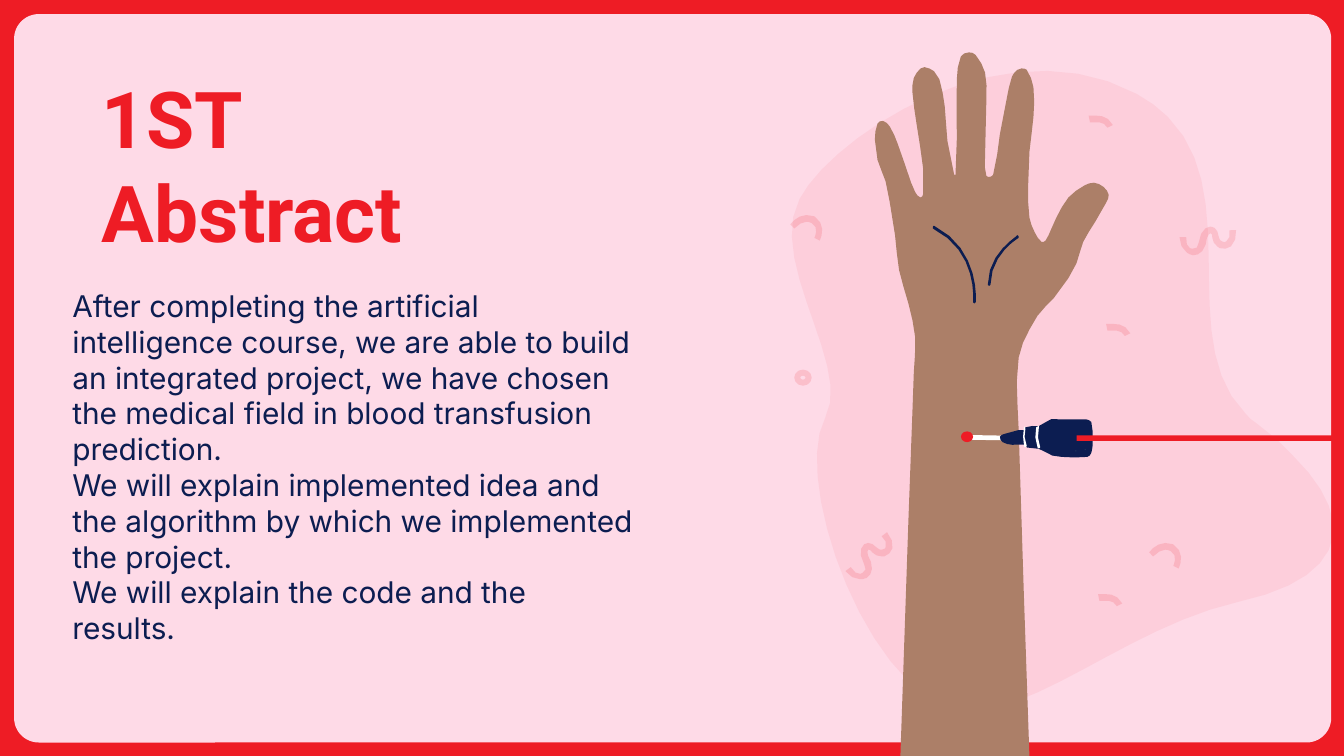
from dataclasses import dataclass
from math import ceil, sqrt
from typing import NamedTuple

from lxml.etree import SubElement
from pptx import Presentation
from pptx.dml.color import RGBColor
from pptx.enum.shapes import MSO_SHAPE as Preset
from pptx.enum.text import MSO_ANCHOR as Anchor
from pptx.oxml.ns import qn
from pptx.util import Inches, Pt

# Grid: 1000 columns across the slide, square cells
COLUMNS, ROWS = 1000, 562.5
CELL = Inches(10) / COLUMNS
TOLERANCE = 0.6  # cells between a curve and its chords


@dataclass(frozen=True)
class Theme:
    red: str = "EE1C25"
    pink: str = "FEDAE7"
    skin: str = "AC7F68"
    navy: str = "0C1D51"
    speck: str = "1B3058"
    white: str = "FFFFFF"
    title_size: int = 42
    body_size: int = 16
    title_font: str = "Roboto"
    body_font: str = "Inter"
    blob_alpha: int = 6
    confetti_alpha: int = 14


THEME = Theme()


class Area(NamedTuple):
    column: float
    row: float
    columns: float
    rows: float


class Part(NamedTuple):
    preset: Preset
    area: Area
    color: str
    rotation: float = 0


class Confetti(NamedTuple):
    curve: str
    column: float
    row: float
    rotation: float = 0


# Chains of cubic curves: a start, then two handles and an end for each curve
BLOB = """869,87 862,80 855,75 846,70 747,16 619,102 595,148 570,195 635,273 614,311
    594,347 625,457 676,507 679,511 683,514 687,517 743,561 824,470 921,448
    1004,430 1010,386 962,339 955,331 946,323 935,315 932,313 929,311 927,308
    873,254 927,145 869,87"""
PALM_LINES = (
    """757,175 757,176 735,188 735,212 735,213 737,213 737,212 737,189 758,177 758,177
    758,176 758,175 757,175""",
    """695,168 695,168 694,168 694,169 694,169 694,170 694,170 728,187 724,224 724,225
    724,226 726,226 726,225 726,225 730,186 695,168""",
)
PEN_BANDS = (
    """762,317 761,322 761,328 762,332 762,333 763,333 764,332 762,327 762,323 763,319
    763,318 762,318 762,317""",
    """773,317 772,317 771,318 771,318 770,323 770,328 772,333 772,334 774,334 774,333
    772,328 772,323 773,318 773,318 773,317 773,317""",
)
HOOK = """12,0 7,0 2,4 0,7 0,7 3,10 3,10 4,10 7,5 12,5 13,5 14,5 16,6 22,9 18,17 18,17
    18,17 22,19 22,19 24,15 26,6 18,1 16,1 14,0 12,0"""
DASH = """5,0 3,0 2,0 0,0 0,0 1,5 1,5 2,5 3,5 5,5 8,5 12,5 14,9 14,9 18,7 18,7
    15,1 10,0 5,0"""
SQUIGGLE = """31,0 31,0 27,3 27,3 30,6 31,8 30,11 30,12 29,13 27,13 26,13 25,13 24,12
    21,9 19,8 17,8 16,8 15,9 14,9 11,11 10,17 14,24 16,27 15,29 13,30 13,30 12,31 11,31
    9,31 6,30 4,26 4,26 0,29 0,29 3,33 7,35 11,35 12,35 14,35 16,34 19,32 21,28 19,22
    16,17 16,14 17,13 18,13 19,13 20,15 22,17 24,18 27,18 28,18 28,18 29,18
    32,17 34,15 35,12 36,8 34,4 31,0"""

# Outlines given by the points they run smoothly through
HAND = """670,563 676,386 679,305 680,277 681,251 676,226 669,201 666,175 662,150
    659,135 653,119 651,104 653,92 657,90 662,94 668,107 678,136 681,143 685,147
    687,144 687,126 682,92 679,69 680,58 685,51 688,50 695,53 699,59 703,79 705,105
    710,130 711,130 712,103 712,59 715,42 721,39 726,41 733,54 734,73 733,117
    734,131 739,130 744,100 749,74 753,57 757,52 760,51 764,52 769,65 769,87
    766,113 765,140 766,162 770,173 775,180 778,179 782,171 786,162 795,147 807,138
    814,136 821,139 825,145 823,151 815,165 806,180 801,196 795,207 784,222 772,235
    758,266 758,320 766,563"""
PEN = """787,312 782,312 773,317 768,317 763,318 762,320 758,320 747,323 744,325 746,329
    753,331 763,331 764,333 773,334 783,339 790,340 809,340 812,337
    813,329 812,314 808,312"""

STICK = Part(Preset.ROUNDED_RECTANGLE, Area(718, 324, 39, 3.5), THEME.white, 1)
PEN_DETAILS = (
    Part(Preset.OVAL, Area(807, 334, 1, 1), THEME.speck),
    Part(Preset.OVAL, Area(800, 335, 1, 1), THEME.speck),
    Part(Preset.OVAL, Area(715, 321, 9, 8), THEME.red),
    Part(Preset.RECTANGLE, Area(801, 324, 232, 4), THEME.red),
)
CONFETTI = (
    Confetti(HOOK, 855, 404), Confetti(DASH, 810, 86), Confetti(DASH, 823, 241),
    Confetti(SQUIGGLE, 629, 396), Confetti(HOOK, 588, 160), Confetti(DASH, 817, 442),
    Confetti(SQUIGGLE, 881, 160, 36),
)
TITLE = "1ST \vAbstract"
BODY = (
    "After completing the artificial intelligence course, we are able to build an "
    "integrated project, we have chosen the medical field in blood transfusion prediction.",
    "We will explain implemented idea and the algorithm by which we implemented the project.",
    "We will explain the code and the results.",
)


def points(text: str) -> list[complex]:
    return [complex(*map(float, pair.split(","))) for pair in text.split()]


def smooth(anchors: list[complex]) -> list[complex]:
    """Add handles, a third of each span long, along the local direction."""
    ends = [anchors[0], *anchors, anchors[-1]]
    slopes = [(after - before) / abs(after - before) for before, after in zip(ends, ends[2:])]
    chain = anchors[:1]
    for i, (start, end) in enumerate(zip(anchors, anchors[1:])):
        reach = abs(end - start) / 3
        chain += [start + slopes[i] * reach, end - slopes[i + 1] * reach, end]
    return chain


def trace(chain: list[complex]) -> list[complex]:
    """Turn a chain of cubic curves into as few chords as the tolerance allows."""
    path = chain[:1]
    for i in range(0, len(chain) - 1, 3):
        a, b, c, d = chain[i:i + 4]
        bend = max(abs(a - 2 * b + c), abs(b - 2 * c + d))
        straight = a == b and c == d
        steps = 1 if straight else max(1, ceil(sqrt(0.75 * bend / TOLERANCE)))
        for step in range(1, steps + 1):
            t = step / steps
            u = 1 - t
            path.append(a * u**3 + 3 * b * u * u * t + 3 * c * u * t * t + d * t**3)
    return path


def paint(shape, color: str, alpha: int = 100) -> None:
    shape.shadow.inherit = False
    shape.fill.solid()
    shape.fill.fore_color.rgb = RGBColor.from_string(color)
    shape.line.fill.background()
    if alpha < 100:
        tint = next(shape._element.spPr.iter(qn("a:srgbClr")))
        SubElement(tint, qn("a:alpha"), val=str(alpha * 1000))


def draw_outline(shapes, chain: list[complex], color: str, alpha: int = 100,
                 rotation: float = 0) -> None:
    path = [(p.real * CELL, p.imag * CELL) for p in trace(chain)]
    builder = shapes.build_freeform(*path[0], scale=1.0)
    builder.add_line_segments(path[1:], close=True)
    shape = builder.convert_to_shape()
    shape.rotation = rotation
    paint(shape, color, alpha)


def draw_part(shapes, part: Part, alpha: int = 100):
    shape = shapes.add_shape(part.preset, *(round(v * CELL) for v in part.area))
    shape.rotation = part.rotation
    paint(shape, part.color, alpha)
    return shape


def draw_text(shapes, area: Area, lines: tuple[str, ...], font: dict, color: str,
              anchor: Anchor, indent: float = 0) -> None:
    box = shapes.add_textbox(*(round(v * CELL) for v in area))
    frame = box.text_frame
    margins = {f"margin_{side}": Inches(0.1) for side in ("left", "top", "right", "bottom")}
    for name, value in {"word_wrap": True, "vertical_anchor": anchor, **margins}.items():
        setattr(frame, name, value)
    for i, line in enumerate(lines):
        para = frame.add_paragraph() if i else frame.paragraphs[0]
        para.text = line
        para._p.get_or_add_pPr().set("marL", str(round(indent * CELL)))
        for span in para.runs:
            for name, value in font.items():
                setattr(span.font, name, value)
            span.font.color.rgb = RGBColor.from_string(color)


def main() -> None:
    deck = Presentation()
    deck.slide_width, deck.slide_height = round(COLUMNS * CELL), round(ROWS * CELL)
    page = deck.slides.add_slide(deck.slide_layouts[6])
    shapes = page.shapes

    # Red frame and pink card
    page.background.fill.solid()
    page.background.fill.fore_color.rgb = RGBColor.from_string(THEME.red)
    card = draw_part(shapes, Part(Preset.ROUNDED_RECTANGLE, Area(11, 11, 979, 541), THEME.pink))
    card.adjustments[0] = 0.033
    card.line.color.rgb = RGBColor.from_string(THEME.pink)
    card.line.width = Pt(0.75)
    draw_outline(shapes, points(BLOB), THEME.red, THEME.blob_alpha)

    # Title
    title_font = {"name": THEME.title_font, "size": Pt(THEME.title_size), "bold": True}
    draw_text(shapes, Area(66, 41, 477, 161), (TITLE,), title_font, THEME.red, Anchor.BOTTOM)

    # Hand with the pen
    hand = shapes.add_group_shape().shapes
    draw_outline(hand, smooth(points(HAND)), THEME.skin)
    for line in PALM_LINES:
        draw_outline(hand, points(line), THEME.navy)
    draw_part(hand, STICK).adjustments[0] = 0.5
    draw_outline(hand, smooth(points(PEN)), THEME.navy)
    for band in PEN_BANDS:
        draw_outline(hand, points(band), THEME.white)
    for detail in PEN_DETAILS:
        draw_part(hand, detail)

    # Confetti
    ring = Part(Preset.DONUT, Area(591, 275, 13, 12), THEME.red)
    draw_part(shapes, ring, THEME.confetti_alpha).adjustments[0] = 0.38
    for bit in CONFETTI:
        chain = [p + complex(bit.column, bit.row) for p in points(bit.curve)]
        draw_outline(shapes, chain, THEME.red, THEME.confetti_alpha, bit.rotation)

    # Body text
    body_font = {"name": THEME.body_font, "size": Pt(THEME.body_size)}
    draw_text(shapes, Area(29, 204, 452, 284), BODY, body_font, THEME.navy, Anchor.TOP, 15)

    deck.save("out.pptx")


if __name__ == "__main__":
    main()
